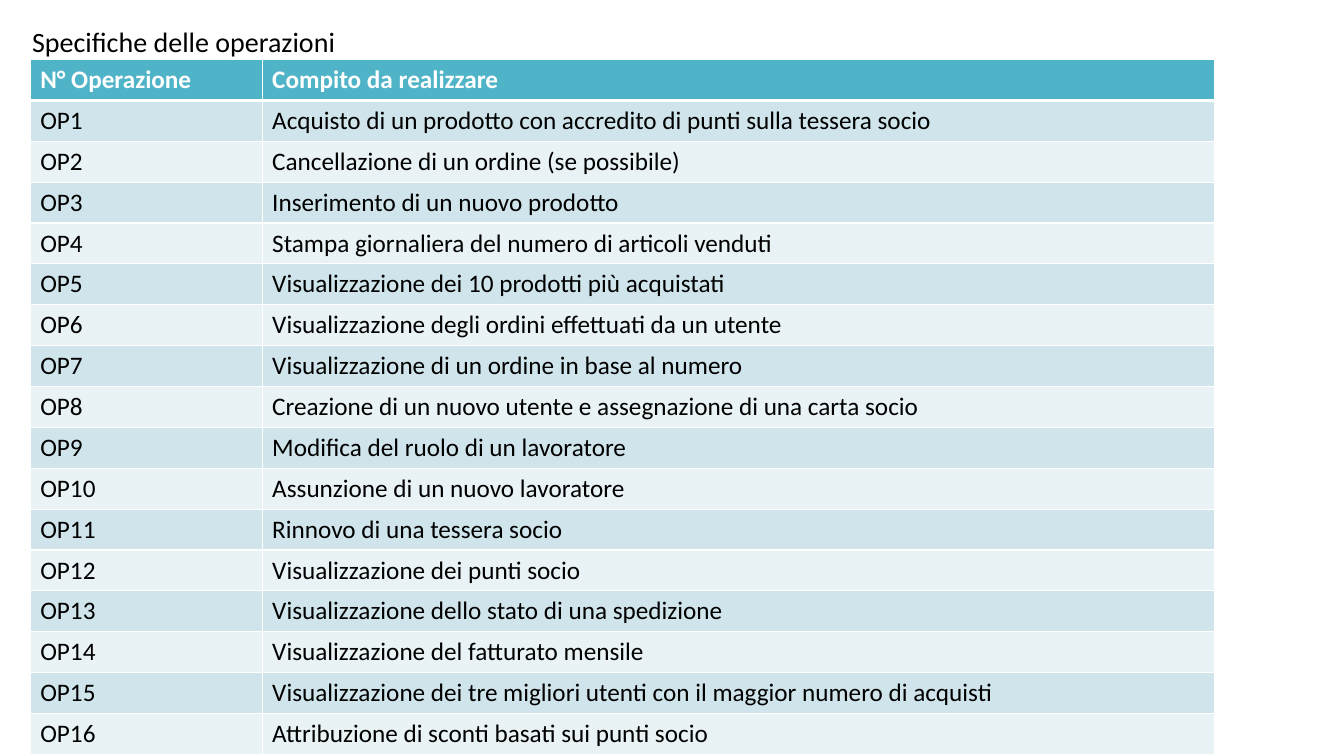
from pptx import Presentation
from pptx.dml.color import RGBColor
from pptx.oxml.ns import qn
from pptx.util import Inches, Pt
from lxml.etree import SubElement

WHITE = RGBColor(0xFF, 0xFF, 0xFF)
BLACK = RGBColor(0, 0, 0)
TEAL = RGBColor(0x50, 0xB4, 0xC8)
BAND_DARK = RGBColor(0xD0, 0xE5, 0xEB)
BAND_LIGHT = RGBColor(0xE9, 0xF2, 0xF5)

TASKS = [
    "Acquisto di un prodotto con accredito di punti sulla tessera socio",
    "Cancellazione di un ordine (se possibile)",
    "Inserimento di un nuovo prodotto",
    "Stampa giornaliera del numero di articoli venduti",
    "Visualizzazione dei 10 prodotti più acquistati",
    "Visualizzazione degli ordini effettuati da un utente",
    "Visualizzazione di un ordine in base al numero",
    "Creazione di un nuovo utente e assegnazione di una carta socio",
    "Modifica del ruolo di un lavoratore",
    "Assunzione di un nuovo lavoratore",
    "Rinnovo di una tessera socio",
    "Visualizzazione dei punti socio",
    "Visualizzazione dello stato di una spedizione",
    "Visualizzazione del fatturato mensile",
    "Visualizzazione dei tre migliori utenti con il maggior numero di acquisti",
    "Attribuzione di sconti basati sui punti socio",
]
ROWS = [("N° Operazione", "Compito da realizzare")]
ROWS += [(f"OP{number}", task) for number, task in enumerate(TASKS, 1)]
COLUMN_WIDTHS = (2.3, 9.45)
ROW_HEIGHT = 0.4


def style_text(frame, size, color, bold=False):
    """Format the only run of a text frame."""
    font = frame.paragraphs[0].runs[0].font
    font.name = "Calibri"
    font.size = Pt(size)
    font.bold = bold
    font.color.rgb = color


def set_borders(cell, widths):
    """Give a cell white borders, with one width in points per side."""
    properties = cell._tc.get_or_add_tcPr()
    for position, (side, width) in enumerate(widths.items()):
        line = properties.makeelement(qn(f"a:ln{side}"), {"w": str(Pt(width))})
        fill = SubElement(line, qn("a:solidFill"))
        SubElement(fill, qn("a:srgbClr"), val=str(WHITE))
        properties.insert(position, line)


deck = Presentation()
deck.slide_width = Inches(13.33)
deck.slide_height = Inches(7.5)
page = deck.slides.add_slide(deck.slide_layouts[6])

operations = page.shapes.add_table(
    len(ROWS), len(COLUMN_WIDTHS), Inches(0.3), Inches(0.59),
    Inches(sum(COLUMN_WIDTHS)), Inches(ROW_HEIGHT * len(ROWS))).table
for column, width in zip(operations.columns, COLUMN_WIDTHS):
    column.width = Inches(width)

for row_index, texts in enumerate(ROWS):
    operations.rows[row_index].height = Inches(ROW_HEIGHT)
    is_header = row_index == 0
    band = BAND_DARK if row_index % 2 else BAND_LIGHT
    top = 3 if row_index == 1 else 1
    bottom = 3 if is_header else 1
    for column_index, text in enumerate(texts):
        cell = operations.cell(row_index, column_index)
        cell.text_frame.text = text
        style_text(cell.text_frame, 18, WHITE if is_header else BLACK, is_header)
        cell.fill.solid()
        cell.fill.fore_color.rgb = TEAL if is_header else band
        set_borders(cell, {"L": 1, "R": 1, "T": top, "B": bottom})

title_box = page.shapes.add_textbox(Inches(0.22), Inches(0.19), Inches(3.24), Inches(0.44))
title_box.text_frame.word_wrap = False
title_box.text_frame.text = "Specifiche delle operazioni"
style_text(title_box.text_frame, 20, BLACK)

deck.save("out.pptx")
